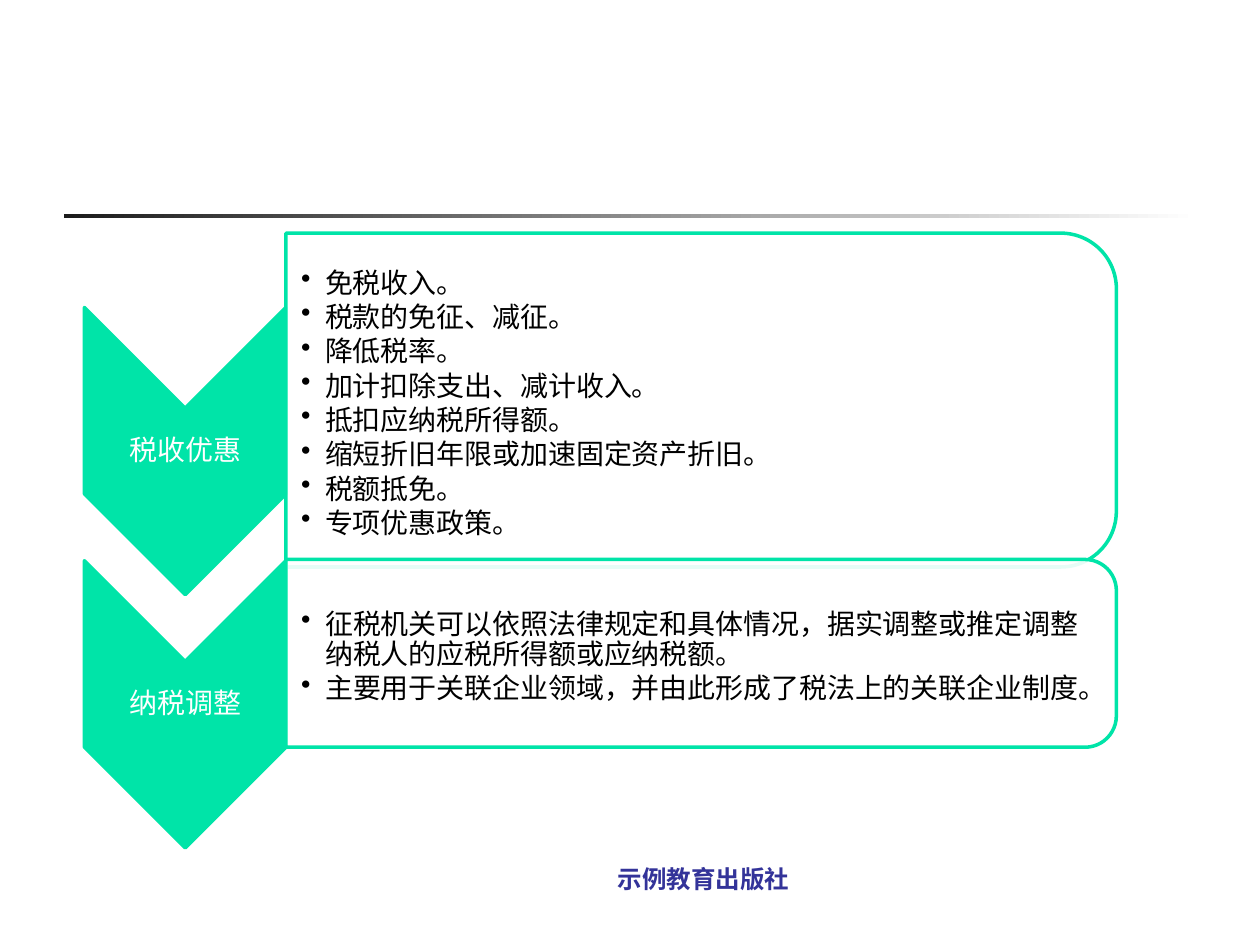
from dataclasses import dataclass

from lxml import etree
from pptx import Presentation
from pptx.dml.color import RGBColor
from pptx.enum.shapes import MSO_SHAPE as Preset
from pptx.enum.text import MSO_ANCHOR as Anchor, PP_ALIGN as Align
from pptx.oxml.ns import qn
from pptx.util import Inches, Pt

GREEN = RGBColor(0x00, 0xE4, 0xA8)
WHITE = RGBColor(0xFF, 0xFF, 0xFF)
BLACK = RGBColor(0x00, 0x00, 0x00)
CHARCOAL = RGBColor(0x1C, 0x1C, 0x1C)
NAVY = RGBColor(0x33, 0x33, 0x99)

CJK_FONT = "Noto Sans CJK SC"
CHEVRON_LEFT, CHEVRON_WIDTH, CHEVRON_HEIGHT = 0.67, 1.6, 2.28
PANEL_LEFT, PANEL_WIDTH = 2.27, 6.59
CORNER_INSET = 0.05  # share of the panel height kept free by its round corners


@dataclass
class Box:
    left: float
    top: float
    width: float
    height: float

    def lengths(self) -> list:
        return [Inches(v) for v in (self.left, self.top, self.width, self.height)]

    def turned(self) -> "Box":
        """Frame that covers this box once rotated by 90 degrees."""
        shift = (self.width - self.height) / 2
        return Box(self.left + shift, self.top - shift, self.height, self.width)


@dataclass
class Section:
    label: str
    chevron_top: float
    panel_top: float
    panel_height: float
    points: list[str]


SECTIONS = [
    Section("税收优惠", 2.44, 1.85, 2.65, [
        "免税收入。",
        "税款的免征、减征。",
        "降低税率。",
        "加计扣除支出、减计收入。",
        "抵扣应纳税所得额。",
        "缩短折旧年限或加速固定资产折旧。",
        "税额抵免。",
        "专项优惠政策。",
    ]),
    Section("纳税调整", 4.45, 4.44, 1.49, [
        "征税机关可以依照法律规定和具体情况，据实调整或推定调整纳税人的应税所得额或应纳税额。",
        "主要用于关联企业领域，并由此形成了税法上的关联企业制度。",
    ]),
]


def add_turned_shape(slide, preset, box: Box, color: RGBColor, opacity: int = 100):
    shape = slide.shapes.add_shape(preset, *box.turned().lengths())
    shape.rotation = 90
    shape.shadow.inherit = False
    shape.fill.solid()
    shape.fill.fore_color.rgb = color
    shape.line.color.rgb = GREEN
    shape.line.width = Pt(2)
    if opacity < 100:
        fill_color = shape._element.spPr.find(qn("a:solidFill"))[0]
        etree.SubElement(fill_color, qn("a:alpha"), val=str(opacity * 1000))


def add_bullet(paragraph) -> None:
    properties = paragraph._p.get_or_add_pPr()
    properties.set("marL", str(Inches(0.19)))
    properties.set("indent", str(-Inches(0.19)))
    etree.SubElement(properties, qn("a:buChar"), char="•")


def add_text(slide, box: Box, lines: list[str], font: dict, frame: dict,
             layout: dict, bulleted: bool = False) -> None:
    text_frame = slide.shapes.add_textbox(*box.lengths()).text_frame
    text_frame.word_wrap = True
    for name, value in frame.items():
        setattr(text_frame, name, value)
    for index, line in enumerate(lines):
        paragraph = text_frame.add_paragraph() if index else text_frame.paragraphs[0]
        if bulleted:
            add_bullet(paragraph)
        for name, value in layout.items():
            setattr(paragraph, name, value)
        run = paragraph.add_run()
        run.text = line
        color = font["color"]
        run.font.color.rgb = color
        for name in font.keys() - {"color"}:
            setattr(run.font, name, font[name])
        etree.SubElement(run._r.get_or_add_rPr(), qn("a:ea"), typeface=CJK_FONT)


def margins(left: float, top: float, right: float, bottom: float) -> dict:
    sides = {"left": left, "top": top, "right": right, "bottom": bottom}
    return {f"margin_{side}": Inches(value) for side, value in sides.items()}


def add_section(slide, section: Section) -> None:
    # Chevron and its label
    chevron = Box(CHEVRON_LEFT, section.chevron_top, CHEVRON_WIDTH, CHEVRON_HEIGHT)
    add_turned_shape(slide, Preset.CHEVRON, chevron, GREEN)
    point_depth = CHEVRON_WIDTH / 2
    label = Box(chevron.left, chevron.top + point_depth, chevron.width,
                chevron.height - 2 * point_depth)
    add_text(slide, label, [section.label],
             {"name": CJK_FONT, "size": Pt(16), "color": WHITE},
             {"vertical_anchor": Anchor.MIDDLE, **margins(0.01, 0.01, 0.01, 0.01)},
             {"alignment": Align.CENTER, "line_spacing": Pt(17.2)})

    # Panel and its points
    panel = Box(PANEL_LEFT, section.panel_top, PANEL_WIDTH, section.panel_height)
    add_turned_shape(slide, Preset.ROUND_2_SAME_RECTANGLE, panel, WHITE, opacity=90)
    inset = CORNER_INSET * panel.height
    content = Box(panel.left, panel.top + inset, panel.width - inset,
                  panel.height - 2 * inset)
    add_text(slide, content, section.points,
             {"name": CJK_FONT, "size": Pt(16), "color": BLACK},
             {"vertical_anchor": Anchor.MIDDLE, **margins(0.12, 0.07, 0.01, 0.01)},
             {"line_spacing": Pt(17.2), "space_after": Pt(2.4)}, bulleted=True)


def add_rule(slide, box: Box) -> None:
    rule = slide.shapes.add_shape(Preset.RECTANGLE, *box.lengths())
    rule.shadow.inherit = False
    rule.line.fill.background()
    rule.fill.gradient()
    rule.fill.gradient_angle = 0
    for stop, position, color in zip(rule.fill.gradient_stops, (0, 1), (CHARCOAL, WHITE)):
        stop.position = position
        stop.color.rgb = color


def main() -> None:
    presentation = Presentation()
    presentation.slide_width, presentation.slide_height = Inches(10), Inches(7.5)
    slide = presentation.slides.add_slide(presentation.slide_layouts[6])

    # Fading rule under the title area
    add_rule(slide, Box(0.51, 1.7, 9, 0.03))

    # Publisher footer
    add_text(slide, Box(4, 6.83, 3.17, 0.5), ["示例教育出版社"],
             {"name": "Karla", "size": Pt(14), "bold": True, "color": NAVY},
             {"vertical_anchor": Anchor.BOTTOM, **margins(0.1, 0, 0.1, 0.24)},
             {"alignment": Align.CENTER})

    # Chevron list
    for section in SECTIONS:
        add_section(slide, section)

    presentation.save("out.pptx")


if __name__ == "__main__":
    main()
